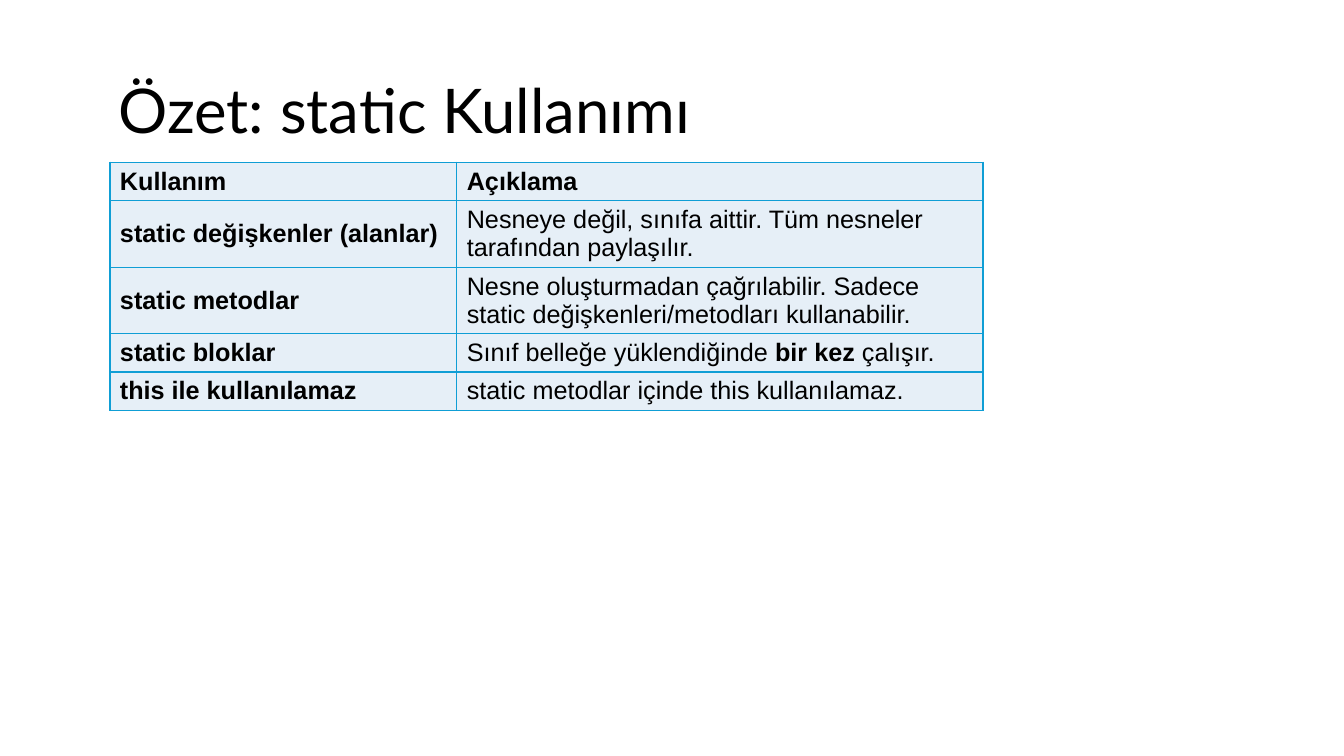
import pptx
import pptx.dml.color
import pptx.enum.text
import pptx.oxml
import pptx.oxml.ns
import pptx.util
from pptx.util import Inches

COLORS = {"text": "000000", "cell": "E6EFF7", "border": "0F9ED5"}
COLUMN_WIDTHS = [3.44, 5.22]
ONE_LINE, TWO_LINES = 0.38, 0.66

# Each row: height, usage, and the explanation as alternating regular and bold pieces
USAGES = [
    (ONE_LINE, "Kullanım", ["", "Açıklama"]),
    (TWO_LINES, "static değişkenler (alanlar)",
     ["Nesneye değil, sınıfa aittir. Tüm nesneler tarafından paylaşılır."]),
    (TWO_LINES, "static metodlar",
     ["Nesne oluşturmadan çağrılabilir. Sadece static değişkenleri/metodları kullanabilir."]),
    (ONE_LINE, "static bloklar",
     ["Sınıf belleğe yüklendiğinde ", "bir kez", " çalışır."]),
    (ONE_LINE, "this ile kullanılamaz",
     ["static metodlar içinde this kullanılamaz."]),
]


def style_run(run, font, size, bold=False):
    run.font.name = font
    run.font.size = pptx.util.Pt(size)
    run.font.bold = bold
    run.font.color.rgb = pptx.dml.color.RGBColor.from_string(COLORS["text"])


def add_borders(cell):
    for side in ("lnL", "lnR", "lnT", "lnB"):
        cell._tc.get_or_add_tcPr().append(pptx.oxml.parse_xml(
            f'<a:{side} {pptx.oxml.ns.nsdecls("a")} w="12700"><a:solidFill>'
            f'<a:srgbClr val="{COLORS["border"]}"/></a:solidFill></a:{side}>'))


presentation = pptx.Presentation()
presentation.slide_width = Inches(13.33)
presentation.slide_height = Inches(7.5)
slide = presentation.slides.add_slide(presentation.slide_layouts[5])

title = slide.shapes.title
title.left, title.top = Inches(0.92), Inches(0.4)
title.width, title.height = Inches(11.5), Inches(1.45)
title.text_frame.text = " Özet: static Kullanımı"
title.text_frame.auto_size = pptx.enum.text.MSO_AUTO_SIZE.NONE
title.text_frame.vertical_anchor = pptx.enum.text.MSO_ANCHOR.MIDDLE
heading = title.text_frame.paragraphs[0]
heading.alignment = pptx.enum.text.PP_ALIGN.LEFT
heading.line_spacing = 0.9
style_run(heading.runs[0], "Lato", 44)

summary = slide.shapes.add_table(
    len(USAGES), len(COLUMN_WIDTHS), Inches(1.09), Inches(1.61),
    Inches(sum(COLUMN_WIDTHS)), Inches(sum(usage[0] for usage in USAGES))).table
for column, width in zip(summary.columns, COLUMN_WIDTHS):
    column.width = Inches(width)

for row, (height, usage, explanation) in enumerate(USAGES):
    summary.rows[row].height = Inches(height)
    for column, pieces in enumerate((["", usage], explanation)):
        cell = summary.cell(row, column)
        cell.vertical_anchor = pptx.enum.text.MSO_ANCHOR.MIDDLE
        add_borders(cell)
        cell.fill.solid()
        cell.fill.fore_color.rgb = pptx.dml.color.RGBColor.from_string(COLORS["cell"])
        for position, piece in enumerate(pieces):
            if piece:
                run = cell.text_frame.paragraphs[0].add_run()
                run.text = piece
                style_run(run, "Arial", 18, bold=position % 2 == 1)

presentation.save("out.pptx")
